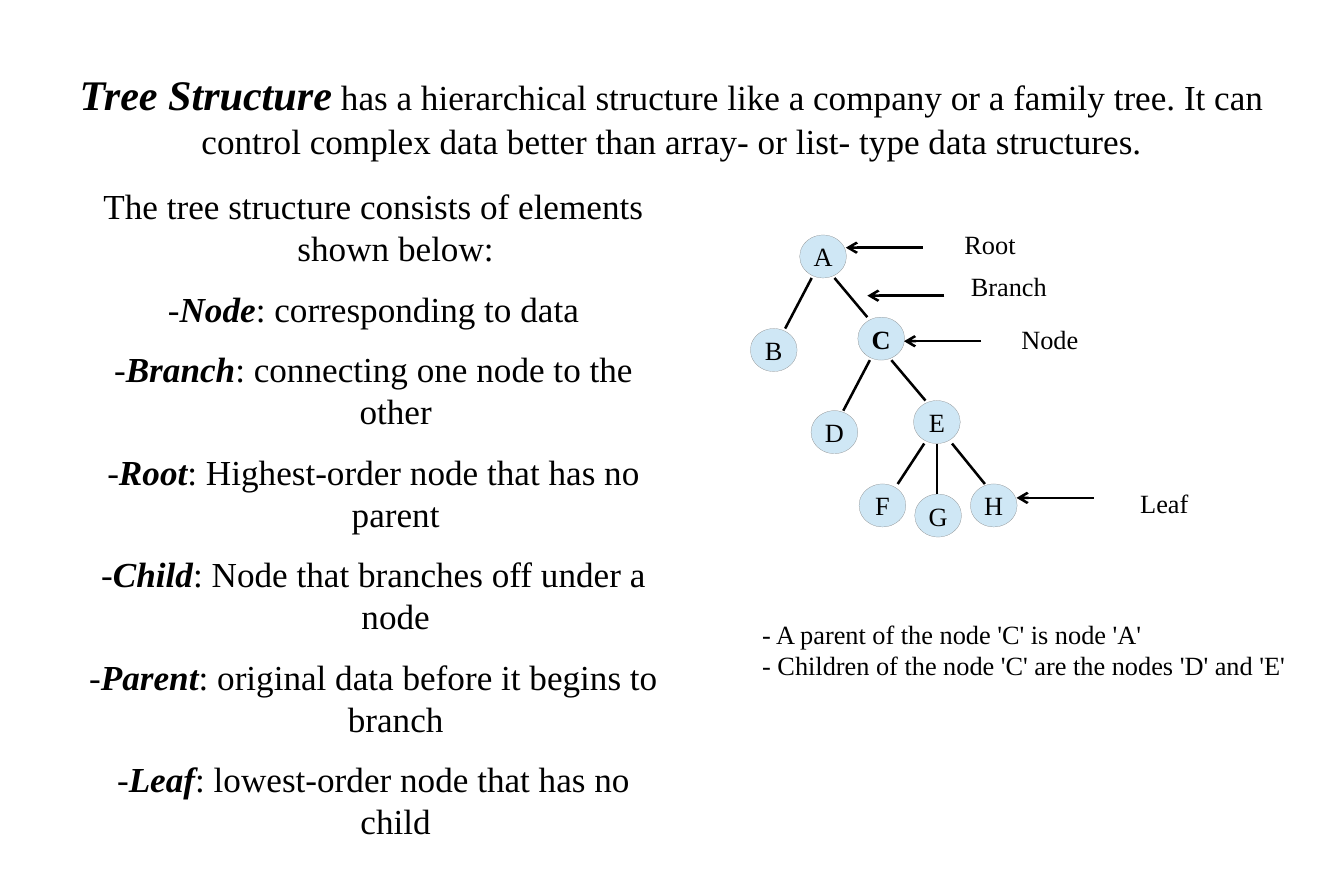
"""Build a slide that explains the tree structure with a labelled diagram."""
from dataclasses import dataclass

from lxml import etree
from pptx import Presentation
from pptx import util as u
from pptx.dml import color
from pptx.enum import shapes, text
from pptx.oxml import ns

FONT = "Times New Roman"
BLACK, NODE_FILL, NODE_LINE = "000000", "CFE7F5", "808080"
NODE_WIDTH, NODE_HEIGHT = 0.37, 0.34
POINTER_LENGTH = 0.61
LABEL_SIZE, BODY_SIZE, TERM_SIZE = 15, 20, 24


@dataclass
class Node:
    letter: str
    x: float
    y: float
    bold: bool = False


@dataclass
class Branch:
    parent: str
    child: str
    start_dx: float
    end_dx: float


@dataclass
class Pointer:
    label: str
    tip_x: float
    tip_y: float
    label_x: float
    label_y: float
    label_width: float


@dataclass
class Definition:
    term: str
    meaning: str


NODES = [
    Node("A", 6.51, 2.03),
    Node("B", 6.12, 2.77),
    Node("C", 6.97, 2.68, bold=True),
    Node("E", 7.41, 3.34),
    Node("G", 7.42, 4.08),
    Node("D", 6.6, 3.42),
    Node("F", 6.98, 4.0),
    Node("H", 7.86, 4.0),
]
BRANCHES = [
    Branch("A", "B", -0.09, 0.09),
    Branch("A", "C", 0.09, -0.11),
    Branch("C", "E", 0.08, -0.09),
    Branch("C", "D", -0.09, 0.07),
    Branch("E", "H", 0.12, -0.07),
    Branch("E", "F", -0.1, 0.12),
    Branch("E", "G", 0, -0.01),
]
POINTERS = [
    Pointer("Root", 6.69, 1.96, 7.53, 1.76, 0.63),
    Pointer("Branch", 6.86, 2.34, 7.58, 2.09, 0.82),
    Pointer("Node", 7.15, 2.7, 7.98, 2.51, 0.67),
    Pointer("Leaf", 8.04, 3.94, 8.92, 3.81, 0.6),
]
DEFINITIONS = [
    Definition("Node", "corresponding to data"),
    Definition("Branch", "connecting one node to the other"),
    Definition("Root", "Highest-order node that has no parent"),
    Definition("Child", "Node that branches off under a node"),
    Definition("Parent", "original data before it begins to branch"),
    Definition("Leaf", "lowest-order node that has no child"),
]


def rgb(value: str) -> color.RGBColor:
    return color.RGBColor.from_string(value)


def style(run, size: float, bold: bool = False, italic: bool = False) -> None:
    run.font.name = FONT
    run.font.size = u.Pt(size)
    run.font.bold = bold
    run.font.italic = italic
    run.font.color.rgb = rgb(BLACK)


def add_run(paragraph, words: str, size: float, emphasis: bool = False) -> None:
    run = paragraph.add_run()
    run.text = words
    style(run, size, emphasis, emphasis)


def add_frame(slide, left: float, top: float, width: float, height: float):
    box = slide.shapes.add_textbox(*map(u.Inches, (left, top, width, height)))
    frame = box.text_frame
    frame.word_wrap = True
    frame.margin_left = frame.margin_top = frame.margin_right = frame.margin_bottom = 0
    return frame


def add_heading(slide) -> None:
    frame = add_frame(slide, 0.53, 0.32, 9.57, 1.18)
    frame.vertical_anchor = text.MSO_ANCHOR.MIDDLE
    sentence = frame.paragraphs[0]
    sentence.alignment = text.PP_ALIGN.CENTER
    add_run(sentence, "Tree Structure", TERM_SIZE, emphasis=True)
    add_run(sentence, " has a hierarchical structure like a company or a family tree. "
            "It can control complex data better than array- or list- type data structures.",
            BODY_SIZE)


def add_definitions(slide) -> None:
    frame = add_frame(slide, 0.56, 1.46, 4.67, 5.22)
    add_run(frame.paragraphs[0], "The tree structure consists of elements shown below:", BODY_SIZE)
    for definition in DEFINITIONS:
        line = frame.add_paragraph()
        add_run(line, "-", BODY_SIZE)
        add_run(line, definition.term, BODY_SIZE, emphasis=True)
        add_run(line, f": {definition.meaning}", BODY_SIZE)
    for line in frame.paragraphs:
        line.alignment = text.PP_ALIGN.CENTER
        line.line_spacing = u.Pt(24)
        line.space_after = u.Pt(10.4)
        properties = line._p.get_or_add_pPr()
        properties.set("marL", str(u.Inches(0.47)))
        properties.set("indent", str(u.Inches(-0.35)))


def add_node(slide, node: Node) -> None:
    circle = slide.shapes.add_shape(
        shapes.MSO_SHAPE.OVAL,
        u.Inches(node.x - NODE_WIDTH / 2), u.Inches(node.y - NODE_HEIGHT / 2),
        u.Inches(NODE_WIDTH), u.Inches(NODE_HEIGHT))
    circle.shadow.inherit = False
    circle.fill.solid()
    circle.fill.fore_color.rgb = rgb(NODE_FILL)
    circle.line.color.rgb = rgb(NODE_LINE)
    circle.line.width = u.Pt(0.1)
    frame = circle.text_frame
    frame.text = node.letter
    frame.word_wrap = False
    frame.vertical_anchor = text.MSO_ANCHOR.MIDDLE
    frame.paragraphs[0].alignment = text.PP_ALIGN.CENTER
    style(frame.paragraphs[0].runs[0], LABEL_SIZE, node.bold)


def add_line(slide, x1: float, y1: float, x2: float, y2: float, arrow: bool = False) -> None:
    line = slide.shapes.add_connector(
        shapes.MSO_CONNECTOR.STRAIGHT, *map(u.Inches, (x1, y1, x2, y2)))
    line.line.color.rgb = rgb(BLACK)
    line.line.width = u.Pt(1.45)
    if arrow:
        etree.SubElement(line.line._get_or_add_ln(), ns.qn("a:tailEnd"), type="arrow")
    etree.SubElement(line._element.spPr, ns.qn("a:effectLst"))


def add_label(slide, words: str, left: float, top: float, width: float, height: float) -> None:
    box = slide.shapes.add_textbox(*map(u.Inches, (left, top, width, height)))
    frame = box.text_frame
    frame.text = words
    frame.word_wrap = False
    frame.auto_size = text.MSO_AUTO_SIZE.SHAPE_TO_FIT_TEXT
    for paragraph in frame.paragraphs:
        style(paragraph.runs[0], LABEL_SIZE)


def main() -> None:
    deck = Presentation()
    deck.slide_width, deck.slide_height = u.Inches(10.63), u.Inches(7.09)
    slide = deck.slides.add_slide(deck.slide_layouts[6])
    add_heading(slide)
    add_definitions(slide)
    for node in NODES:
        add_node(slide, node)
    by_letter = {node.letter: node for node in NODES}
    for branch in BRANCHES:
        parent, child = by_letter[branch.parent], by_letter[branch.child]
        add_line(slide, parent.x + branch.start_dx, parent.y + NODE_HEIGHT / 2,
                 child.x + branch.end_dx, child.y - NODE_HEIGHT / 2)
    for pointer in POINTERS:
        add_line(slide, pointer.tip_x + POINTER_LENGTH, pointer.tip_y,
                 pointer.tip_x, pointer.tip_y, arrow=True)
        add_label(slide, pointer.label, pointer.label_x, pointer.label_y,
                  pointer.label_width, 0.35)
    add_label(slide, "- A parent of the node 'C' is node 'A'\n"
              "- Children of the node 'C' are the nodes 'D' and 'E'", 5.93, 4.84, 4.34, 0.6)
    deck.save("out.pptx")


if __name__ == "__main__":
    main()
